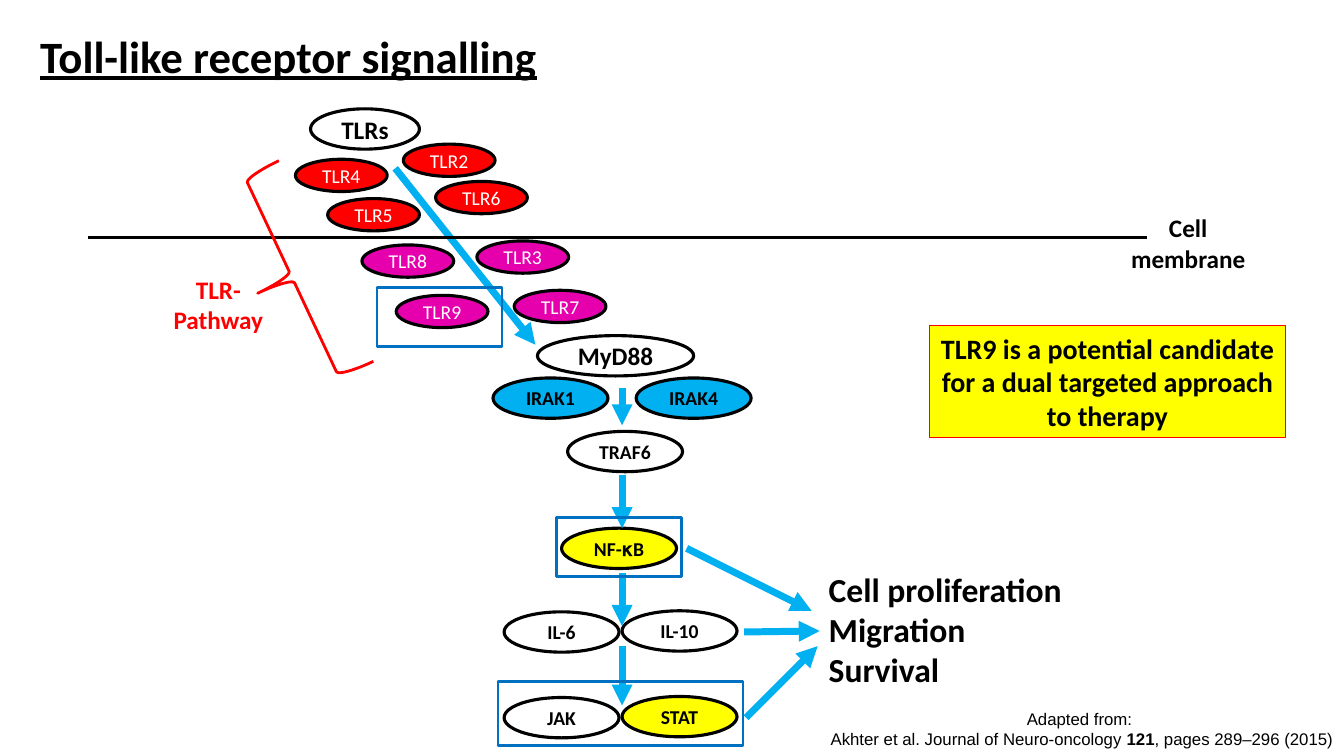
from dataclasses import dataclass

from lxml import etree
from pptx import Presentation
from pptx.dml.color import RGBColor
from pptx.enum.shapes import MSO_CONNECTOR, MSO_SHAPE
from pptx.enum.text import MSO_ANCHOR, PP_ALIGN
from pptx.oxml.ns import qn
from pptx.util import Inches, Pt

OVAL = MSO_SHAPE.OVAL
RECTANGLE = MSO_SHAPE.RECTANGLE
LEFT_BRACE = MSO_SHAPE.LEFT_BRACE
STRAIGHT = MSO_CONNECTOR.STRAIGHT
MIDDLE = MSO_ANCHOR.MIDDLE
LEFT, CENTER = PP_ALIGN.LEFT, PP_ALIGN.CENTER


@dataclass(frozen=True)
class Theme:
    font: str = "Calibri"
    citation_font: str = "Arial"
    black: str = "000000"
    white: str = "FFFFFF"
    red: str = "FF0000"
    magenta: str = "E600AD"
    cyan: str = "00B0F0"
    blue: str = "0070C0"
    yellow: str = "FFFF00"
    title: int = 32
    outcome: int = 24
    callout: int = 20
    label: int = 18
    protein: int = 14
    citation: int = 12


@dataclass(frozen=True)
class Box:
    left: float
    top: float
    width: float
    height: float

    def inner(self, left, top, width, height):
        return Box(self.left + left, self.top + top, width, height)

    def lengths(self):
        return [Inches(v) for v in (self.left, self.top, self.width, self.height)]


THEME = Theme()
TLR_SIZE = (0.91, 0.32)
PROTEIN_SIZE = (1.14, 0.4)
FRAME_SIZE = (1.24, 0.59)


# Building blocks
def write(shape, lines, size, color=THEME.black, bold=True, align=CENTER,
          font=THEME.font, underline=False):
    """Each line is a list of (text, bold) runs or a plain string."""
    frame = shape.text_frame
    for index, line in enumerate(lines):
        paragraph = frame.add_paragraph() if index else frame.paragraphs[0]
        paragraph.alignment = align
        for text, run_bold in [(line, bold)] if isinstance(line, str) else line:
            run = paragraph.add_run()
            run.text = text
            run.font.name = font
            run.font.size = Pt(size)
            run.font.bold = run_bold
            run.font.underline = underline
            run.font.color.rgb = RGBColor.from_string(color)


def add_shape(slide, kind, box, line, width, fill=None):
    shape = slide.shapes.add_shape(kind, *box.lengths())
    shape.shadow.inherit = False
    if fill:
        shape.fill.solid()
        shape.fill.fore_color.rgb = RGBColor.from_string(fill)
    else:
        shape.fill.background()
    shape.line.color.rgb = RGBColor.from_string(line)
    shape.line.width = Pt(width)
    return shape


def add_text(slide, box, lines, size, wrap=True, **style):
    text_box = slide.shapes.add_textbox(*box.lengths())
    text_box.text_frame.word_wrap = wrap
    write(text_box, lines, size, **style)


def add_oval(slide, box, text, fill, size=THEME.protein, color=THEME.black, bold=True):
    oval = add_shape(slide, OVAL, box, THEME.black, 2.25, fill)
    frame = oval.text_frame
    frame.word_wrap = False
    frame.vertical_anchor = MIDDLE
    frame.margin_left = frame.margin_right = frame.margin_top = frame.margin_bottom = 0
    write(oval, [text], size, color, bold)


def add_line(slide, box, start, end, color=THEME.cyan, width=5, arrow=True):
    points = [Inches(v) for x, y in (start, end) for v in (box.left + x, box.top + y)]
    connector = slide.shapes.add_connector(STRAIGHT, *points)
    connector.line.color.rgb = RGBColor.from_string(color)
    connector.line.width = Pt(width)
    if arrow:
        etree.SubElement(connector.line._get_or_add_ln(), qn("a:tailEnd"), type="triangle")
    etree.SubElement(connector._element.spPr, qn("a:effectLst"))


# Receptors on both sides of the cell membrane
def add_receptors(slide, box):
    add_oval(slide, box.inner(2.21, 0, 1.08, 0.4), "TLRs", THEME.white, THEME.label)
    receptors = {
        THEME.red: [("TLR4", 2.06, 0.5), ("TLR5", 2.38, 0.89),
                    ("TLR2", 3.13, 0.35), ("TLR6", 3.45, 0.72)],
        THEME.magenta: [("TLR8", 2.72, 1.35), ("TLR9", 3.06, 1.85),
                        ("TLR3", 3.86, 1.31), ("TLR7", 4.23, 1.8)],
    }
    for fill, group in receptors.items():
        for name, left, top in group:
            add_oval(slide, box.inner(left, top, *TLR_SIZE), name, fill,
                     color=THEME.white, bold=False)
    add_line(slide, box, (3.05, 0.59), (4.44, 2.34))
    add_line(slide, box, (0, 1.28), (10.51, 1.28), THEME.black, 2, arrow=False)
    brace = add_shape(slide, LEFT_BRACE, box.inner(1.65, 0.57, 0.75, 2.2), THEME.red, 2)
    brace.rotation = 334.8
    add_text(slide, box.inner(0.6, 1.59, 1.39, 0.71), ["TLR-Pathway"], THEME.label,
             color=THEME.red)
    add_text(slide, box.inner(10.23, 0.98, 1.37, 0.71), ["Cell", "membrane"], THEME.label)
    add_shape(slide, RECTANGLE, box.inner(2.87, 1.77, *FRAME_SIZE), THEME.blue, 2)


# Downstream signalling cascade
def add_cascade(slide, box):
    add_oval(slide, box.inner(0.44, 0, 1.55, 0.4), "MyD88", THEME.white, THEME.label)
    proteins = [
        ("IRAK1", 0, 0.42, THEME.cyan), ("IRAK4", 1.42, 0.42, THEME.cyan),
        ("TRAF6", 0.74, 0.95, THEME.white), ("NF-𝛋B", 0.68, 1.91, THEME.yellow),
        ("IL-6", 0.11, 2.74, THEME.white), ("IL-10", 1.28, 2.73, THEME.white),
        ("JAK", 0.11, 3.59, THEME.white), ("STAT", 1.28, 3.58, THEME.yellow),
    ]
    for name, left, top, fill in proteins:
        add_oval(slide, box.inner(left, top, *PROTEIN_SIZE), name, fill)
    for start, end in [(0.52, 0.89), (1.38, 1.91), (2.35, 2.88), (3.08, 3.67)]:
        add_line(slide, box, (1.28, start), (1.28, end))
    add_shape(slide, RECTANGLE, box.inner(0.63, 1.8, *FRAME_SIZE), THEME.blue, 2)
    add_shape(slide, RECTANGLE, box.inner(0.05, 3.43, 2.43, 0.64), THEME.blue, 2)


# Cellular outcomes
def add_outcomes(slide, box):
    for start, end in [((0, 0), (1.24, 0.62)), ((0.57, 0.83), (1.32, 0.82)),
                       ((0.59, 1.68), (1.3, 0.97))]:
        add_line(slide, box, start, end)
    add_text(slide, box.inner(1.31, 0.15, 2.52, 1.31),
             ["Cell proliferation", "Migration", "Survival"],
             THEME.outcome, wrap=False, align=LEFT)


def add_title(slide, box):
    title = add_shape(slide, RECTANGLE, box, THEME.white, 0.75)
    title.text_frame.word_wrap = True
    write(title, ["Toll-like receptor signalling"], THEME.title, align=LEFT, underline=True)


def add_callout(slide, box):
    callout = add_shape(slide, RECTANGLE, box, THEME.red, 0.75, THEME.yellow)
    callout.text_frame.word_wrap = True
    write(callout, ["TLR9 is a potential candidate for a dual targeted approach to therapy"],
          THEME.callout)


def add_citation(slide, box):
    add_text(slide, box, [
        "Adapted from: ",
        [("Akhter et al. Journal of Neuro-oncology ", False), ("121", True),
         (", pages 289–296 (2015)", False)],
    ], THEME.citation, wrap=False, bold=False, font=THEME.citation_font)


def main():
    presentation = Presentation()
    presentation.slide_width = Inches(13.33)
    presentation.slide_height = Inches(7.5)
    slide = presentation.slides.add_slide(presentation.slide_layouts[6])
    add_receptors(slide, Box(0.87, 1.08, 11.6, 2.8))
    add_cascade(slide, Box(4.89, 3.33, 2.56, 4.07))
    add_outcomes(slide, Box(6.81, 5.44, 3.83, 1.68))
    add_citation(slide, Box(8.12, 6.98, 5.22, 0.5))
    add_title(slide, Box(0.3, 0.23, 5.17, 0.64))
    add_callout(slide, Box(9.22, 3.23, 3.53, 1.11))
    presentation.save("out.pptx")


if __name__ == "__main__":
    main()
